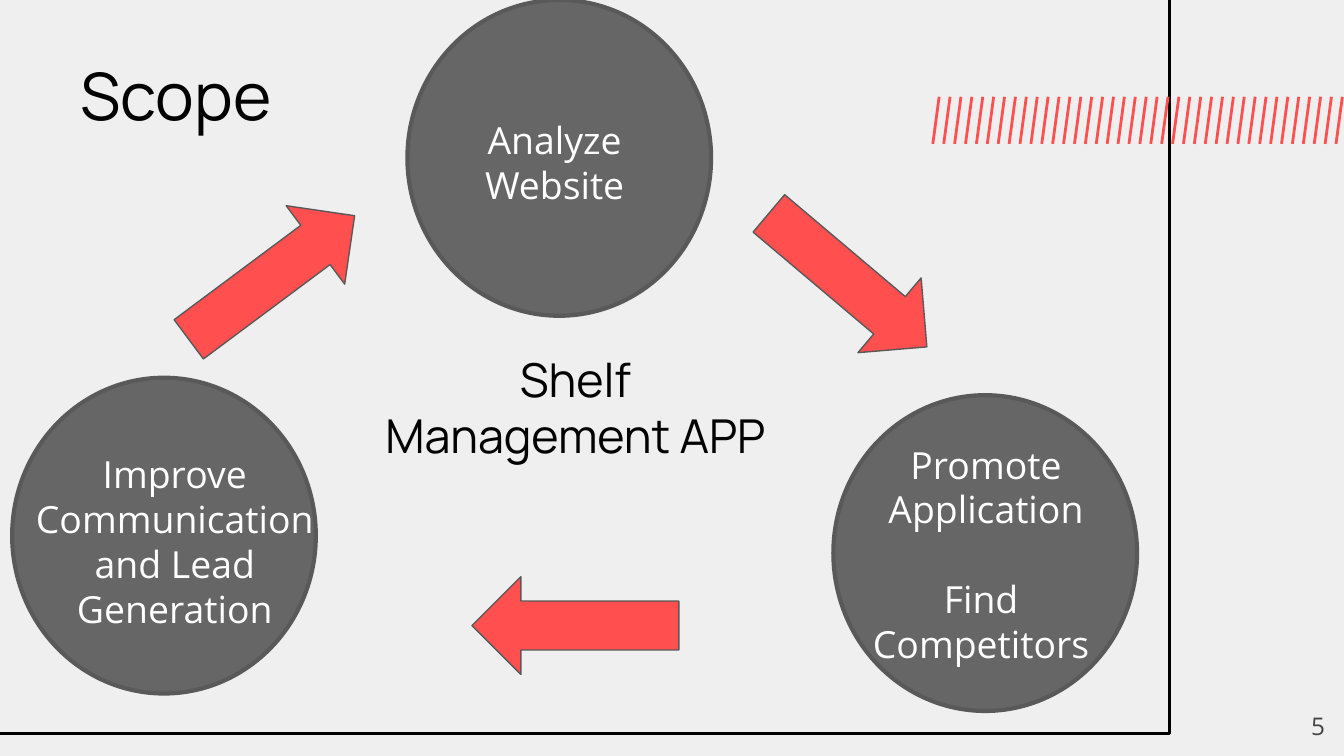
"""Build the Scope slide: a three-step cycle around the Shelf Management APP."""
from dataclasses import dataclass

from pptx import Presentation
from pptx.dml.color import RGBColor
from pptx.enum.shapes import MSO_SHAPE
from pptx.enum.text import MSO_ANCHOR, PP_ALIGN
from pptx.util import Cm, Pt

RECTANGLE = MSO_SHAPE.RECTANGLE
OVAL = MSO_SHAPE.OVAL
LEFT_ARROW = MSO_SHAPE.LEFT_ARROW
LEFT, CENTER, RIGHT = PP_ALIGN.LEFT, PP_ALIGN.CENTER, PP_ALIGN.RIGHT
TOP, MIDDLE = MSO_ANCHOR.TOP, MSO_ANCHOR.MIDDLE

HEADING_FONT, BODY_FONT = "Manrope", "Open Sans"
BACKGROUND, BLACK, WHITE = "EFEFEF", "000000", "FFFFFF"
CORAL, GRAY, DARK_GRAY, NUMBER_GRAY = "FF4F4F", "666666", "595959", "434343"
CIRCLE_SIZE = (5.74, 5.97)
ARROW_SIZE = (3.91, 1.85)
TICK_COUNT, TICK_SPAN = 38, 7.62
TICK_TOP, TICK_BOTTOM = (17.75, 1.83), (17.63, 2.72)


@dataclass(frozen=True)
class Figure:
    """A preset shape; lengths in centimetres, line width in points."""
    kind: MSO_SHAPE
    corner: tuple[float, float]
    size: tuple[float, float]
    line: str
    line_width: float
    fill: str | None = None
    rotation: float = 0


@dataclass(frozen=True)
class Label:
    """A text box; each line is a paragraph with its space before in points."""
    corner: tuple[float, float]
    size: tuple[float, float]
    lines: tuple[tuple[str, float], ...]
    points: float
    font: str = BODY_FONT
    color: str = WHITE
    align: PP_ALIGN = CENTER
    anchor: MSO_ANCHOR = TOP


def circle(x: float, y: float) -> Figure:
    """Describe one step of the cycle."""
    return Figure(OVAL, (x, y), CIRCLE_SIZE, DARK_GRAY, 2.25, GRAY)


def arrow(x: float, y: float, rotation: float) -> Figure:
    """Describe one arrow between two steps."""
    return Figure(LEFT_ARROW, (x, y), ARROW_SIZE, DARK_GRAY, 0.75, CORAL, rotation)


FRAME = Figure(RECTANGLE, (-0.29, -0.29), (22.4, 14.15), BLACK, 1.5)
CYCLE = (
    circle(0.23, 7.14),
    circle(15.75, 7.47),
    circle(7.7, 0),
    arrow(3.18, 4.32, 143.3),
    arrow(8.92, 10.9, 0),
    arrow(14.07, 4.37, 220.2),
)
LABELS = (
    Label((1.27, 0.79), (21.41, 1.6), (("Scope", 0),), 35, HEADING_FONT, BLACK, LEFT),
    Label((6.86, 6.38), (8.03, 3.71), (("Shelf Management APP", 0),), 25,
          HEADING_FONT, BLACK),
    Label((0.36, 8.28), (5.89, 4.7),
          (("Improve Communication and Lead Generation", 0),), 20),
    Label((15.88, 8.1), (5.51, 4.8),
          (("Promote Application", 0), ("Find ", 24), ("Competitors ", 0)), 20),
    Label((7.82, 1.96), (5.51, 2.24), (("Analyze ", 0), ("Website ", 0)), 20),
    Label((23.77, 13.18), (1.52, 1.09), (("5", 0),), 13, color=NUMBER_GRAY,
          align=RIGHT, anchor=MIDDLE),
)


def paint(color_format, hex_color: str) -> None:
    """Give a fill or line format's colour from a hex string."""
    color_format.rgb = RGBColor.from_string(hex_color)


def apply(target, values: dict) -> None:
    """Set each format value on the target."""
    for attribute, value in values.items():
        setattr(target, attribute, value)


def style(shape, line: str, width: float, fill: str | None = None) -> None:
    """Set the outline and fill, without a shadow."""
    shape.shadow.inherit = False
    paint(shape.line.color, line)
    shape.line.width = Pt(width)
    if fill is None:
        shape.fill.background()
    else:
        shape.fill.solid()
        paint(shape.fill.fore_color, fill)


def draw_figure(slide, figure: Figure) -> None:
    """Draw a preset shape."""
    shape = slide.shapes.add_shape(
        figure.kind, *map(Cm, figure.corner), *map(Cm, figure.size))
    shape.rotation = figure.rotation
    style(shape, figure.line, figure.line_width, figure.fill)


def draw_ticks(slide) -> None:
    """Draw the row of slanted ticks at equal steps."""
    for index in range(TICK_COUNT):
        offset = index * TICK_SPAN / (TICK_COUNT - 1)
        start, end = ((Cm(x + offset), Cm(y)) for x, y in (TICK_TOP, TICK_BOTTOM))
        builder = slide.shapes.build_freeform(*start)
        builder.add_line_segments([end], close=False)
        style(builder.convert_to_shape(), CORAL, 1.5)


def draw_label(slide, label: Label) -> None:
    """Draw a text box with its paragraphs."""
    frame = slide.shapes.add_textbox(
        *map(Cm, label.corner), *map(Cm, label.size)).text_frame
    inset = Cm(0.25)
    apply(frame, {
        "word_wrap": True, "vertical_anchor": label.anchor,
        "margin_left": inset, "margin_right": inset,
        "margin_top": inset, "margin_bottom": inset,
    })
    for index, (text, space_before) in enumerate(label.lines):
        paragraph = frame.add_paragraph() if index else frame.paragraphs[0]
        paragraph.alignment = label.align
        if space_before:
            paragraph.space_before = Pt(space_before)
        run = paragraph.add_run()
        run.text = text
        apply(run.font, {"name": label.font, "size": Pt(label.points)})
        paint(run.font.color, label.color)


def main() -> None:
    """Build and save the slide."""
    presentation = Presentation()
    apply(presentation, {"slide_width": Cm(25.4), "slide_height": Cm(14.29)})
    slide = presentation.slides.add_slide(presentation.slide_layouts[6])
    slide.background.fill.solid()
    paint(slide.background.fill.fore_color, BACKGROUND)
    draw_figure(slide, FRAME)
    draw_ticks(slide)
    for figure in CYCLE:
        draw_figure(slide, figure)
    for label in LABELS:
        draw_label(slide, label)
    presentation.save("out.pptx")


if __name__ == "__main__":
    main()
